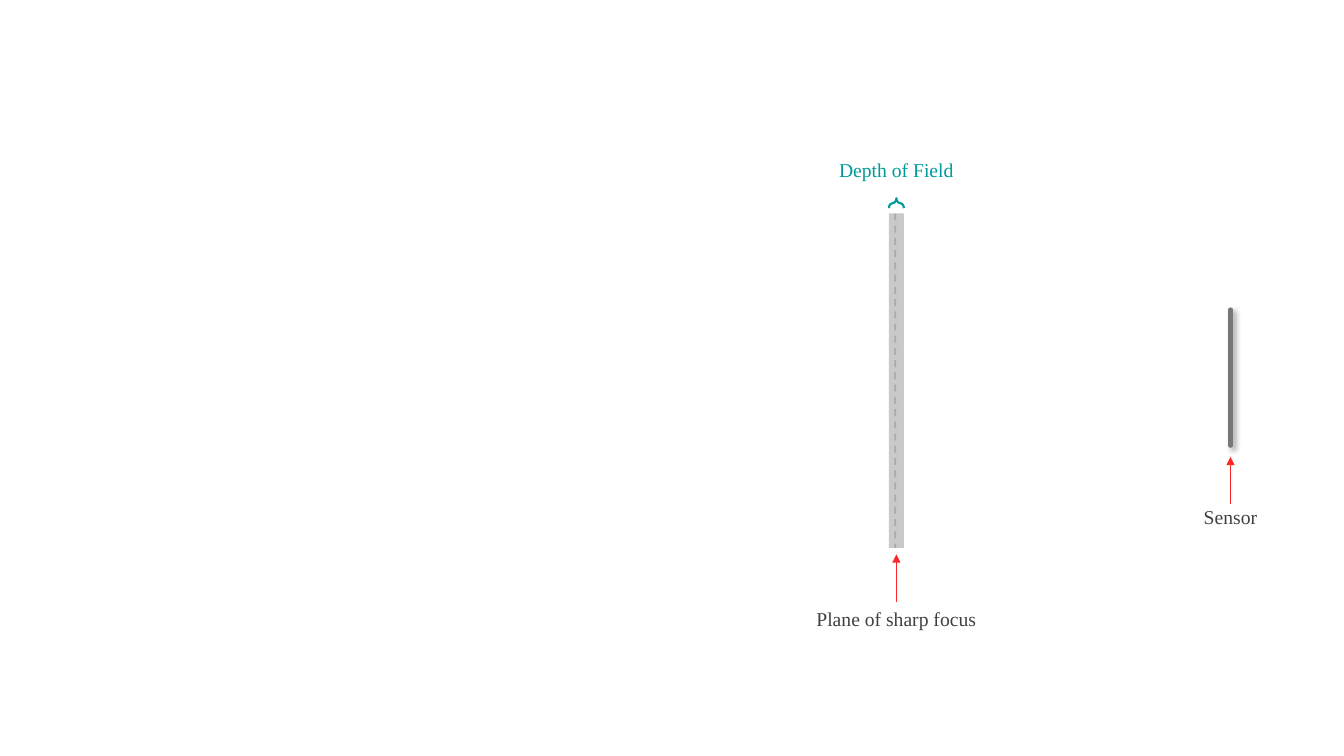
from dataclasses import dataclass

from lxml.etree import SubElement
from pptx import Presentation
from pptx.dml.color import RGBColor
from pptx.enum.dml import MSO_LINE
from pptx.enum.shapes import MSO_CONNECTOR, MSO_SHAPE
from pptx.enum.text import MSO_ANCHOR, MSO_AUTO_SIZE, PP_ALIGN
from pptx.oxml.ns import qn
from pptx.util import Cm, Pt


@dataclass(frozen=True)
class Theme:
    font: str = "Times New Roman"
    label_size: int = 14
    label: str = "404040"
    depth: str = "009999"
    field: str = "767171"
    focus: str = "A6A6A6"
    sensor: str = "777777"
    pointer: str = "FE2626"
    shadow: str = "000000"


THEME = Theme()
LABEL_HEIGHT = 0.86


def set_alpha(fill, percent):
    """Make a solid fill or line colour partly transparent."""
    colour = next(fill.iter(qn("a:srgbClr")))
    SubElement(colour, qn("a:alpha"), val=str(percent * 1000))


def add_line(slide, start, end, colour, weight):
    """Draw a straight line and return it with its empty effect list."""
    line = slide.shapes.add_connector(
        MSO_CONNECTOR.STRAIGHT, *(Cm(length) for length in (*start, *end)))
    line.line.color.rgb = RGBColor.from_string(colour)
    line.line.width = Pt(weight)
    effects = SubElement(line._element.spPr, qn("a:effectLst"))
    return line, effects


def add_label(slide, center, top, width, wording, colour):
    label = slide.shapes.add_textbox(
        Cm(center - width / 2), Cm(top), Cm(width), Cm(LABEL_HEIGHT))
    frame = label.text_frame
    frame.word_wrap = False
    frame.auto_size = MSO_AUTO_SIZE.SHAPE_TO_FIT_TEXT
    frame.vertical_anchor = MSO_ANCHOR.TOP
    paragraph = frame.paragraphs[0]
    paragraph.alignment = PP_ALIGN.CENTER
    run = paragraph.add_run()
    run.text = wording
    run.font.name = THEME.font
    run.font.size = Pt(THEME.label_size)
    run.font.color.rgb = RGBColor.from_string(colour)


def add_pointer(slide, x, bottom, weight, length=1.19):
    """Draw a red arrow pointing up from the given bottom."""
    pointer, _ = add_line(slide, (x, bottom), (x, bottom - length), THEME.pointer, weight)
    SubElement(pointer.line._get_or_add_ln(), qn("a:tailEnd"), type="triangle")


def add_sensor(slide, x, top, height):
    bottom = top + height
    sensor, effects = add_line(slide, (x, top), (x, bottom), THEME.sensor, 3)
    sensor.line._get_or_add_ln().set("cap", "rnd")
    shadow = SubElement(effects, qn("a:outerShdw"), blurRad=str(Pt(4)), dist=str(Pt(3)),
                        dir=str(45 * 60000), algn="tl", rotWithShape="0")
    shade = SubElement(shadow, qn("a:srgbClr"), val=THEME.shadow)
    SubElement(shade, qn("a:alpha"), val="40000")
    add_label(slide, x, bottom + 1.37, 1.88, "Sensor", THEME.label)
    add_pointer(slide, x, bottom + 1.47, 0.5)


def add_depth_of_field(slide, left, top, width, height):
    """Draw the field in its box, with the brace above and the focus label below."""
    center = left + width / 2
    bottom = top + height
    field = slide.shapes.add_shape(
        MSO_SHAPE.RECTANGLE, Cm(left), Cm(top), Cm(width), Cm(height))
    field.shadow.inherit = False
    field.fill.solid()
    field.fill.fore_color.rgb = RGBColor.from_string(THEME.field)
    set_alpha(field._element.spPr, 38)
    field.line.fill.background()

    focus_x = left + 0.16
    focus, _ = add_line(slide, (focus_x, top), (focus_x, bottom), THEME.focus, 1.25)
    focus.line.dash_style = MSO_LINE.DASH
    set_alpha(focus._element.spPr, 88)

    add_label(slide, center, bottom + 1.35, 4.57, "Plane of sharp focus", THEME.label)
    add_pointer(slide, center, bottom + 1.35, 1)

    brace_depth = 0.25
    brace = slide.shapes.add_shape(
        MSO_SHAPE.LEFT_BRACE, Cm(center - brace_depth / 2), Cm(top - 0.45),
        Cm(brace_depth), Cm(width))
    brace.rotation = 90
    brace.adjustments[0] = 0.405
    brace.adjustments[1] = 0.5
    brace.shadow.inherit = False
    brace.fill.background()
    brace.line.color.rgb = RGBColor.from_string(THEME.depth)
    brace.line.width = Pt(1.5)
    add_label(slide, center, top - 1.52, 3.43, "Depth of Field", THEME.depth)


def main():
    deck = Presentation()
    deck.slide_width, deck.slide_height = Cm(33.87), Cm(19.05)
    slide = deck.slides.add_slide(deck.slide_layouts[6])
    add_sensor(slide, x=31.01, top=7.8, height=3.43)
    add_depth_of_field(slide, left=22.4, top=5.38, width=0.38, height=8.43)
    deck.save("out.pptx")


if __name__ == "__main__":
    main()
